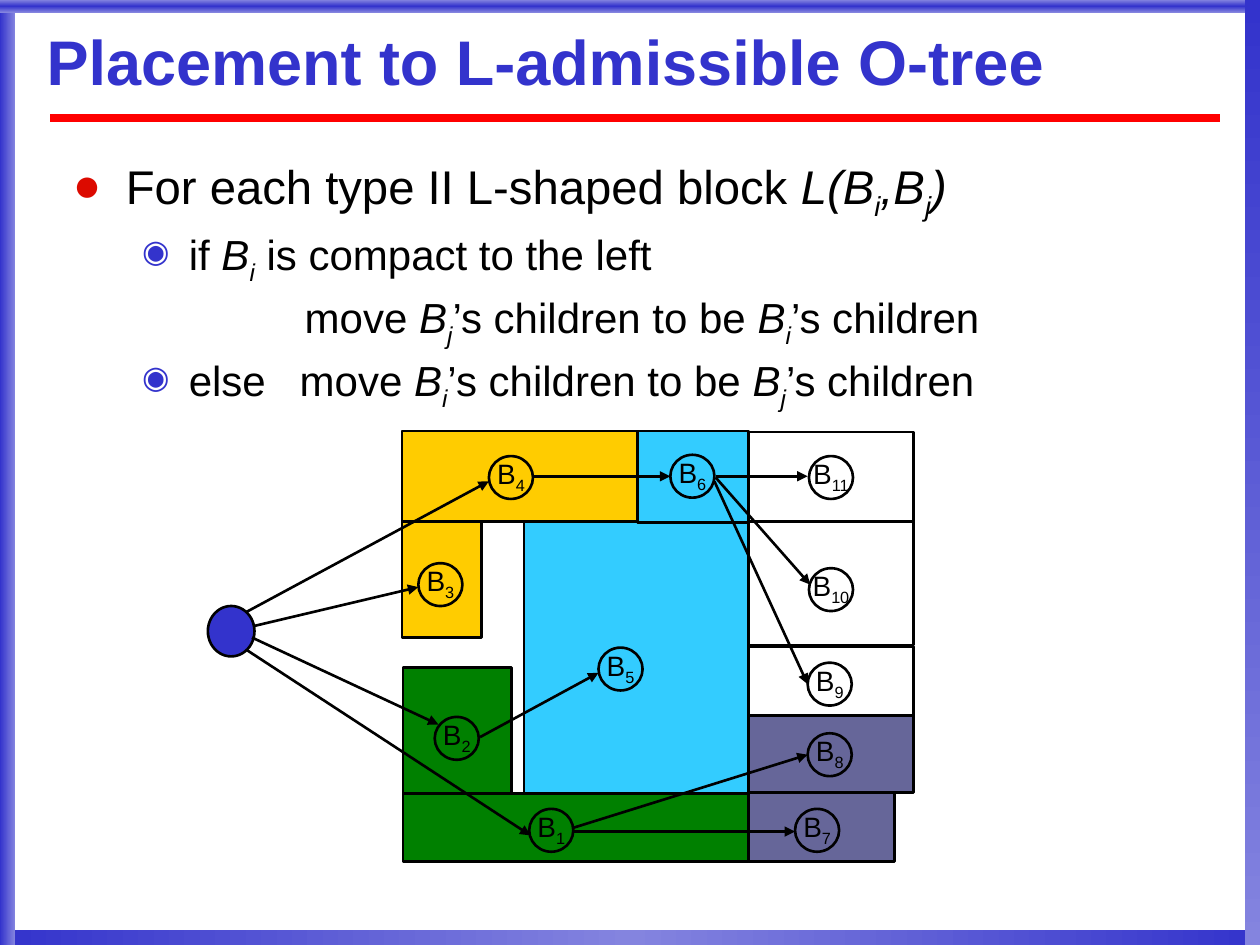
import lxml.etree
import pptx
import pptx.dml.color
import pptx.enum.shapes
import pptx.enum.text
import pptx.oxml.ns
import pptx.util

Inches = pptx.util.Inches
Pt = pptx.util.Pt
RGBColor = pptx.dml.color.RGBColor
MSO_SHAPE = pptx.enum.shapes.MSO_SHAPE
STRAIGHT = pptx.enum.shapes.MSO_CONNECTOR.STRAIGHT
PP_ALIGN = pptx.enum.text.PP_ALIGN
MSO_ANCHOR = pptx.enum.text.MSO_ANCHOR

BLACK = RGBColor(0x00, 0x00, 0x00)
BLUE = RGBColor(0x33, 0x33, 0xCC)
PALE_BLUE = RGBColor(0x84, 0x84, 0xDF)
RED = RGBColor(0xFF, 0x00, 0x00)
BULLET_RED = RGBColor(0xDC, 0x0A, 0x00)
SHADOW_GRAY = RGBColor(0xC0, 0xC0, 0xC0)
YELLOW = RGBColor(0xFF, 0xCC, 0x00)
GREEN = RGBColor(0x00, 0x80, 0x00)
CYAN = RGBColor(0x33, 0xCC, 0xFF)
SLATE = RGBColor(0x66, 0x66, 0x99)


def add_element(parent, tag, **attributes):
    element = lxml.etree.SubElement(parent, pptx.oxml.ns.qn(tag))
    for name, value in attributes.items():
        element.set(name, str(value))
    return element


def add_runs(paragraph, pieces):
    for text, style in pieces:
        run = paragraph.add_run()
        run.text = text
        if "i" in style:
            run.font.italic = True
        if "s" in style:
            run.font._element.set("baseline", "-25000")


presentation = pptx.Presentation()
presentation.slide_width = Inches(10)
presentation.slide_height = Inches(7.5)
slide = presentation.slides.add_slide(presentation.slide_layouts[5])

frame_bars = [
    (0, 7.38, 10, 0.12, 180, [BLUE, PALE_BLUE, BLUE]),
    (0, 0, 0.12, 7.5, 180, [PALE_BLUE, BLUE]),
    (0, 0, 10, 0.1, 90, [PALE_BLUE, BLUE, PALE_BLUE]),
    (9.88, 0, 0.12, 7.5, 90, [BLUE, PALE_BLUE]),
]
for left, top, width, height, angle, colors in frame_bars:
    bar = slide.shapes.add_shape(
        MSO_SHAPE.RECTANGLE, Inches(left), Inches(top), Inches(width), Inches(height)
    )
    gradient = add_element(bar._element.spPr, "a:gradFill", rotWithShape=1)
    stops = add_element(gradient, "a:gsLst")
    for index, color in enumerate(colors):
        stop = add_element(stops, "a:gs", pos=100000 * index // (len(colors) - 1))
        add_element(stop, "a:srgbClr", val=color)
    add_element(gradient, "a:lin", ang=angle * 60000, scaled=0)
    bar.line.fill.background()
    bar.shadow.inherit = False

rule = slide.shapes.add_connector(STRAIGHT, Inches(0.4), Inches(0.94), Inches(9.68), Inches(0.94))
rule.line.color.rgb = RED
rule.line.width = Pt(4.5)
add_element(rule._element.spPr, "a:effectLst")

title = slide.shapes.title
title.left, title.top = Inches(0.37), Inches(0.15)
title.width, title.height = Inches(9.3), Inches(0.74)
frame = title.text_frame
frame.auto_size = pptx.enum.text.MSO_AUTO_SIZE.NONE
frame.vertical_anchor = MSO_ANCHOR.MIDDLE
frame.margin_left = frame.margin_right = frame.margin_top = frame.margin_bottom = 0
frame.text = "Placement to L-admissible O-tree"
paragraph = frame.paragraphs[0]
paragraph.alignment = PP_ALIGN.LEFT
paragraph.line_spacing = 0.87
font = paragraph.runs[0].font
font.size = Pt(36)
font.bold = True
font.color.rgb = BLUE
effects = add_element(font._element, "a:effectLst")
shadow = add_element(effects, "a:outerShdw", dist=25400, dir=2700000)
add_element(shadow, "a:srgbClr", val=SHADOW_GRAY)
font.name = "Arial"

body = slide.shapes.add_textbox(Inches(0.48), Inches(1.2), Inches(9.08), Inches(5.81))
body.text_frame.word_wrap = True
outline = [
    (27, 0.42, -0.42, 0.93, 16.9, "●", BULLET_RED, 100, [],
     [("For each type II L-shaped block ", ""), ("L(B", "i"), ("i", "is"),
      (",B", "i"), ("j", "is"), (")", "i")]),
    (24, 0.92, -0.37, 0.87, 7.5, "◉", BLUE, 75, [],
     [("if ", ""), ("B", "i"), ("i", "is"), (" is compact to the left", "")]),
    (24, 1.84, 0, 0.87, 7.5, None, None, None, [],
     [("move ", ""), ("B", "i"), ("j", "is"), ("’s children to be ", ""),
      ("B", "i"), ("i", "is"), ("’s children", "")]),
    (24, 0.92, -0.37, 0.87, 7.5, "◉", BLUE, 75, [0.88, 1.8],
     [("else\tmove ", ""), ("B", "i"), ("i", "is"), ("’s children to be ", ""),
      ("B", "i"), ("j", "is"), ("’s children", "")]),
]
for number, (size, margin, indent, spacing, before, bullet, color, scale, tabs, pieces) in enumerate(outline):
    paragraph = body.text_frame.add_paragraph() if number else body.text_frame.paragraphs[0]
    paragraph.line_spacing = spacing
    paragraph.space_before = Pt(before)
    properties = paragraph._p.get_or_add_pPr()
    properties.set("marL", str(Inches(margin)))
    properties.set("indent", str(Inches(indent)))
    if bullet:
        bullet_color = add_element(properties, "a:buClr")
        add_element(bullet_color, "a:srgbClr", val=color)
        add_element(properties, "a:buSzPct", val=scale * 1000)
        add_element(properties, "a:buFont", typeface="Arial")
        add_element(properties, "a:buChar", char=bullet)
    if tabs:
        tab_list = add_element(properties, "a:tabLst")
        for position in tabs:
            add_element(tab_list, "a:tab", pos=Inches(position), algn="l")
    paragraph.font.size = Pt(size)
    paragraph.font.name = "Arial"
    paragraph.font.color.rgb = BLACK
    add_runs(paragraph, pieces)

RECTANGLE, OVAL = MSO_SHAPE.RECTANGLE, MSO_SHAPE.OVAL
blocks = [
    (RECTANGLE, 5.94, 5.13, 1.31, 0.56, None, None),
    (RECTANGLE, 5.93, 5.68, 1.32, 0.61, SLATE, None),
    (RECTANGLE, 3.19, 3.42, 1.87, 0.72, YELLOW, None),
    (RECTANGLE, 3.19, 4.14, 0.63, 0.92, YELLOW, None),
    (RECTANGLE, 3.2, 5.3, 0.86, 1, GREEN, None),
    (RECTANGLE, 3.2, 6.3, 2.74, 0.54, GREEN, None),
    (RECTANGLE, 4.16, 4.14, 1.78, 2.16, CYAN, None),
    (RECTANGLE, 5.06, 3.42, 0.88, 0.73, CYAN, None),
    (RECTANGLE, 5.94, 4.14, 1.31, 0.98, None, None),
    (RECTANGLE, 5.94, 3.43, 1.31, 0.71, None, None),
    (OVAL, 1.65, 4.81, 0.37, 0.4, BLUE, None),
    (RECTANGLE, 5.94, 6.29, 1.16, 0.55, SLATE, None),
]
node_corners = [
    (4.2, 6.42), (3.45, 5.69), (3.32, 4.47), (3.88, 3.62), (4.75, 5.14), (5.32, 3.61),
    (6.31, 6.42), (6.41, 5.82), (6.41, 5.26), (6.42, 4.51), (6.42, 3.62),
]
nodes = [
    (OVAL, left, top, 0.35, 0.34, None, str(number))
    for number, (left, top) in enumerate(node_corners, 1)
]
for kind, left, top, width, height, color, number in blocks + nodes:
    shape = slide.shapes.add_shape(kind, Inches(left), Inches(top), Inches(width), Inches(height))
    shape.shadow.inherit = False
    if color is None:
        shape.fill.background()
    else:
        shape.fill.solid()
        shape.fill.fore_color.rgb = color
    shape.line.color.rgb = BLACK
    shape.line.width = Pt(1.5)
    if number:
        frame = shape.text_frame
        frame.word_wrap = False
        frame.vertical_anchor = MSO_ANCHOR.MIDDLE
        frame.margin_left = frame.margin_right = frame.margin_top = 0
        frame.margin_bottom = Inches(0.03)
        paragraph = frame.paragraphs[0]
        paragraph.alignment = PP_ALIGN.CENTER
        paragraph.font.size = Pt(16)
        paragraph.font.name = "Arial"
        paragraph.font.color.rgb = BLACK
        add_runs(paragraph, [("B", ""), (number, "s")])

edges = [
    (1.95, 4.86, 3.88, 3.82), (2, 5.06, 3.48, 5.75), (1.96, 5.16, 4.21, 6.63),
    (4.23, 3.78, 5.32, 3.78), (3.81, 5.85, 4.75, 5.34), (4.55, 6.57, 6.41, 5.99),
    (4.55, 6.6, 6.31, 6.6), (5.68, 3.78, 6.41, 3.78), (5.68, 3.79, 6.43, 4.64),
    (5.67, 3.82, 6.41, 5.43), (2.01, 4.97, 3.32, 4.66),
]
for edge in edges:
    arrow = slide.shapes.add_connector(STRAIGHT, *[Inches(value) for value in edge])
    arrow.line.color.rgb = BLACK
    arrow.line.width = Pt(1.5)
    add_element(arrow.line._get_or_add_ln(), "a:tailEnd", type="triangle")
    add_element(arrow._element.spPr, "a:effectLst")

presentation.save("out.pptx")
